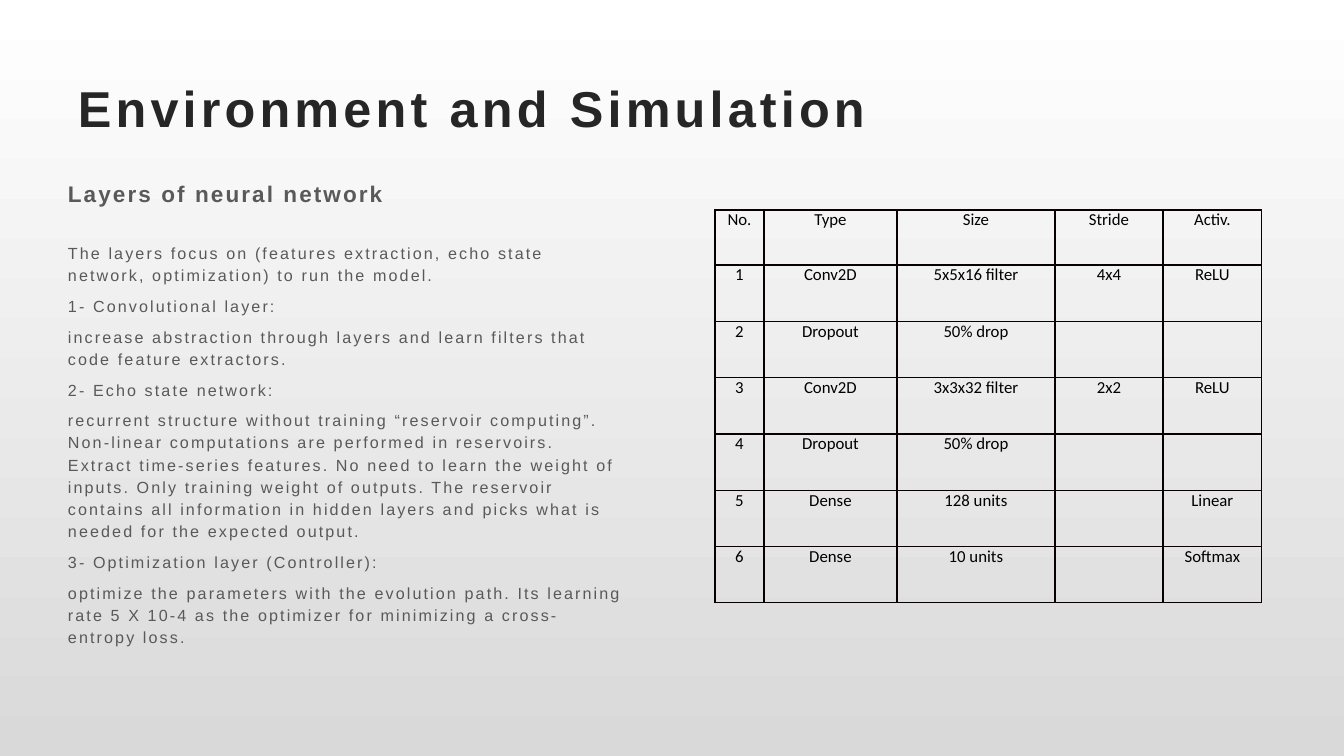
from lxml import etree
from pptx import Presentation
from pptx.dml.color import RGBColor
from pptx.enum.text import MSO_ANCHOR, PP_ALIGN
from pptx.oxml.ns import qn
from pptx.util import Emu, Pt

LEFT, CENTER = PP_ALIGN.LEFT, PP_ALIGN.CENTER
TOP, MIDDLE = MSO_ANCHOR.TOP, MSO_ANCHOR.MIDDLE
SCALE = 914400 / 100.8

HEADING = "Layers of neural network"
BODY = [
    "The layers focus on (features extraction, echo state network, optimization) to run the model.",
    "1- Convolutional layer:",
    "increase abstraction through layers and learn filters that code feature extractors.",
    "2- Echo state network:",
    "recurrent structure without training “reservoir computing”. Non-linear computations are "
    "performed in reservoirs. Extract time-series features. No need to learn the weight of inputs. "
    "Only training weight of outputs. The reservoir contains all information in hidden layers and "
    "picks what is needed for the expected output.",
    "3- Optimization layer (Controller):",
    "optimize the parameters with the evolution path. Its learning rate 5 X 10-4 as the optimizer "
    "for minimizing a cross-entropy loss.",
]
COLS = [49, 133, 158, 108, 99]
HEAD, TALL = 55, 393
ROWS = [
    ["No.", "Type", "Size", "Stride", "Activ."],
    ["1", "Conv2D", "5x5x16 filter", "4x4", "ReLU"],
    ["2", "Dropout", "50% drop", "", ""],
    ["3", "Conv2D", "3x3x32 filter", "2x2", "ReLU"],
    ["4", "Dropout", "50% drop", "", ""],
    ["5", "Dense", "128 units", "", "Linear"],
    ["6", "Dense", "10 units", "", "Softmax"],
]


def px(count):
    return Emu(round(count * SCALE))


def paint(code):
    return RGBColor.from_string(code)


def write(para, text, size, color, font="Arial", bold=False, track=0,
          align=LEFT, line=1.0, after=0):
    para.alignment = align
    para.line_spacing = line
    para.space_after = Pt(after)
    para.font.size = Pt(size)
    if text:
        run = para.add_run()
        run.text = text
        run.font.name = font
        run.font.size = Pt(size)
        run.font.bold = bold
        run.font.color.rgb = paint(color)
        run.font._element.set("spc", str(round(track * 100)))


class Deck:
    """Holds the style and the current slide."""

    ink, gray, black, edge = "262626", "595959", "000000", "080000"

    def __init__(self, width, height):
        self.show = Presentation()
        self.show.slide_width, self.show.slide_height = px(width), px(height)
        self.slide = self.show.slides.add_slide(self.show.slide_layouts[6])

    def shade(self, *codes):
        fill = self.slide.background.fill
        fill.gradient()
        fill.gradient_angle = 270
        for stop, code in zip(fill.gradient_stops, codes):
            stop.color.rgb = paint(code)

    def box(self, left, top, width, height, paras, anchor=TOP):
        shape = self.slide.shapes.add_textbox(px(left), px(top), px(width), px(height))
        frame = shape.text_frame
        frame.word_wrap = True
        frame.vertical_anchor = anchor
        for i, (text, style) in enumerate(paras):
            para = frame.add_paragraph() if i else frame.paragraphs[0]
            write(para, text, **style)

    def border(self, cell):
        props = cell._tc.get_or_add_tcPr()
        for i, side in enumerate(("lnL", "lnR", "lnT", "lnB")):
            line = etree.Element(qn(f"a:{side}"), w=str(Pt(1)))
            fill = etree.SubElement(line, qn("a:solidFill"))
            etree.SubElement(fill, qn("a:srgbClr"), val=self.edge)
            props.insert(i, line)

    def grid(self, left, top, cols, highs, rows):
        frame = self.slide.shapes.add_table(
            len(rows), len(cols), px(left), px(top), px(sum(cols)), px(sum(highs)))
        table = frame.table
        table.first_row = table.horz_banding = False
        for col, width in zip(table.columns, cols):
            col.width = px(width)
        for row, high, texts in zip(table.rows, highs, rows):
            row.height = px(high)
            for cell, text in zip(row.cells, texts):
                cell.margin_left = cell.margin_right = px(7)
                cell.margin_top = cell.margin_bottom = 0
                cell.fill.background()
                self.border(cell)
                write(cell.text_frame.paragraphs[0], text, size=12, color=self.black,
                      font="Calibri", align=CENTER)

    def save(self):
        self.show.save("out.pptx")


def main():
    deck = Deck(1344, 756)
    deck.shade("FFFFFF", "D9D9D9")
    title = dict(size=36, color=deck.ink, bold=True, track=3)
    deck.box(68, 68, 1210, 78, [("Environment and Simulation", title)], MIDDLE)
    base = dict(color=deck.gray, track=1.5, line=1.15)
    lead = dict(base, size=16.1, bold=True, after=24)
    plain = dict(base, size=11.5, after=6)
    deck.box(58, 171, 577, 508, [(HEADING, lead)] + [(text, plain) for text in BODY])
    count = len(ROWS) - 1
    deck.grid(715, 210, COLS, [HEAD] + [(TALL - HEAD) / count] * count, ROWS)
    deck.save()


if __name__ == "__main__":
    main()
